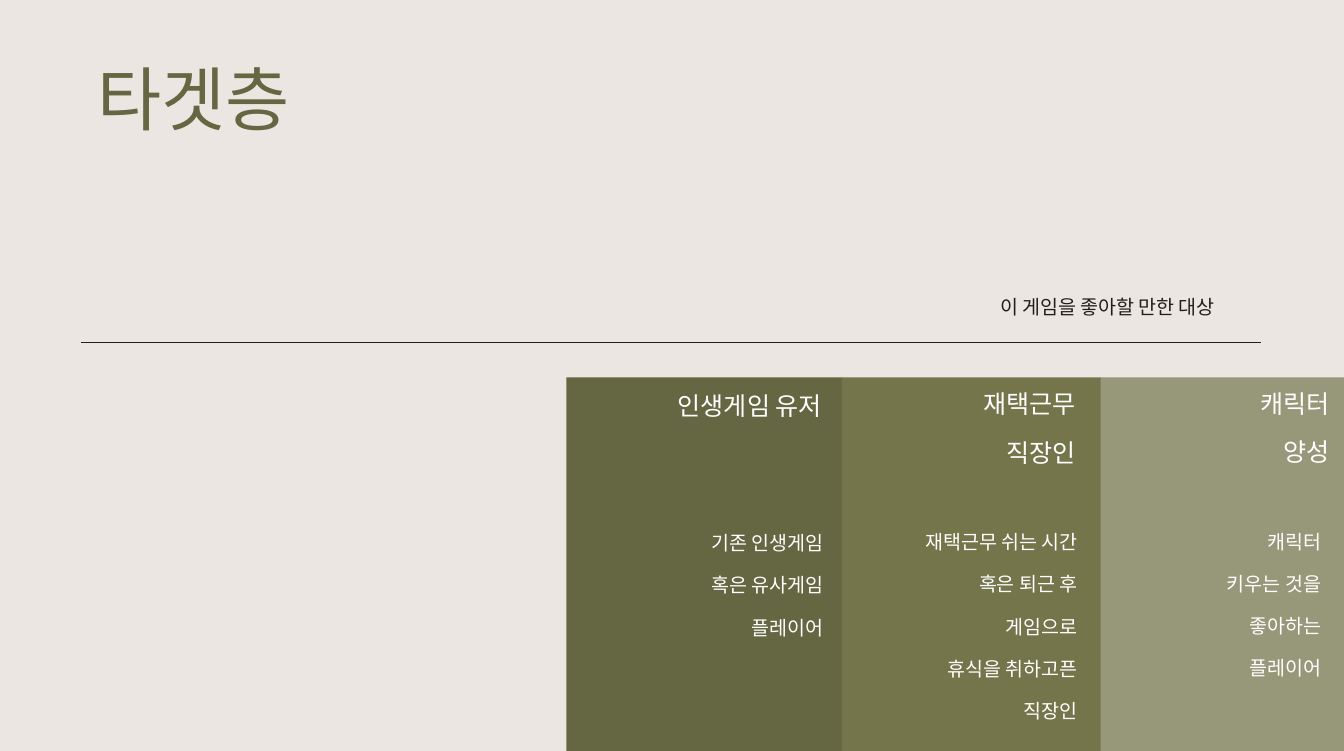
from lxml.etree import SubElement
from pptx import Presentation
from pptx.dml.color import RGBColor
from pptx.enum.shapes import MSO_CONNECTOR, MSO_SHAPE
from pptx.enum.text import MSO_ANCHOR, MSO_AUTO_SIZE, PP_ALIGN
from pptx.oxml.ns import qn
from pptx.util import Inches, Pt

BACKGROUND = RGBColor(0xEB, 0xE6, 0xE2)
INK = RGBColor(0x22, 0x1F, 0x1A)
WHITE = RGBColor(0xFF, 0xFF, 0xFF)
OLIVE = RGBColor(0x65, 0x67, 0x42)
MOSS = RGBColor(0x74, 0x75, 0x4B)
SAGE = RGBColor(0x97, 0x98, 0x79)
WIDTH, HEIGHT = 26.77, 14.96
COLUMN_TOP = 7.52

AUDIENCES = [
    (OLIVE, 11.28, 16.78,
     "인생게임 유저", (10.69, 7.84, 5.78, 0.61),
     "기존 인생게임\n혹은 유사게임\n플레이어", (12.18, 10.58, 4.32, 2.46)),
    (MOSS, 16.77, 21.93,
     "재택근무\n직장인", (16.6, 7.81, 4.93, 1.41),
     "재택근무 쉬는 시간\n혹은 퇴근 후\n게임으로\n휴식을 취하고픈\n직장인", (14.09, 10.56, 7.47, 4.34)),
    (SAGE, 21.92, WIDTH,
     "캐릭터\n양성", (18.85, 7.8, 7.73, 1.41),
     "캐릭터\n키우는 것을\n좋아하는\n플레이어", (14.69, 10.55, 11.72, 3.4)),
]


class AudienceSlide:
    """Holds the font and the slide, and adds each kind of element."""

    font_name = "Noto Sans CJK KR"

    def __init__(self, presentation):
        self.slide = presentation.slides.add_slide(presentation.slide_layouts[5])
        self.slide.background.fill.solid()
        self.slide.background.fill.fore_color.rgb = BACKGROUND

    def set_words(self, holder, words, size, color, align, line=1.0, gap=0):
        frame = holder.text_frame
        frame.text = words
        frame.word_wrap = True
        frame.auto_size = MSO_AUTO_SIZE.NONE
        frame.vertical_anchor = MSO_ANCHOR.TOP
        frame.margin_left = frame.margin_right = Inches(0.1)
        frame.margin_top = frame.margin_bottom = 0
        for index, paragraph in enumerate(frame.paragraphs):
            paragraph.alignment = align
            paragraph.line_spacing = line
            paragraph.space_before = Pt(gap if index else 0)
            for run in paragraph.runs:
                run.font.size = Pt(size)
                run.font.color.rgb = color
                run.font.name = self.font_name
                SubElement(run.font._element, qn("a:ea"), typeface=self.font_name)

    def title(self, words, box):
        heading = self.slide.shapes.title
        heading.left, heading.top, heading.width, heading.height = map(Inches, box)
        self.set_words(heading, words, 100, OLIVE, PP_ALIGN.CENTER, line=0.9)

    def text(self, shapes, words, box, *style, **spacing):
        holder = shapes.add_textbox(*map(Inches, box))
        self.set_words(holder, words, *style, **spacing)

    def rule(self, left, right, top):
        divider = self.slide.shapes.add_connector(
            MSO_CONNECTOR.STRAIGHT, Inches(left), Inches(top), Inches(right), Inches(top))
        divider.line.color.rgb = INK
        divider.line.width = Pt(0.5)
        SubElement(divider._element.spPr, qn("a:effectLst"))

    def column(self, color, left, right, heading, heading_box, details, details_box):
        shapes = self.slide.shapes.add_group_shape().shapes
        panel = shapes.add_shape(
            MSO_SHAPE.RECTANGLE, Inches(left), Inches(COLUMN_TOP),
            Inches(right - left), Inches(HEIGHT - COLUMN_TOP))
        panel.shadow.inherit = False
        panel.fill.solid()
        panel.fill.fore_color.rgb = color
        panel.line.fill.background()
        self.text(shapes, heading, heading_box, 36, WHITE, PP_ALIGN.RIGHT, line=0.9, gap=30.5)
        self.text(shapes, details, details_box, 28, WHITE, PP_ALIGN.RIGHT, gap=27)


def main():
    presentation = Presentation()
    presentation.slide_width = Inches(WIDTH)
    presentation.slide_height = Inches(HEIGHT)
    page = AudienceSlide(presentation)
    page.title(" 타겟층", (-2.11, 1.31, 11.61, 3.16))
    page.rule(1.62, 25.12, 6.82)
    page.text(page.slide.shapes, "이 게임을 좋아할 만한 대상", (19.82, 5.88, 6.35, 0.57),
              28, INK, PP_ALIGN.LEFT)
    for audience in AUDIENCES:
        page.column(*audience)
    presentation.save("out.pptx")


if __name__ == "__main__":
    main()
